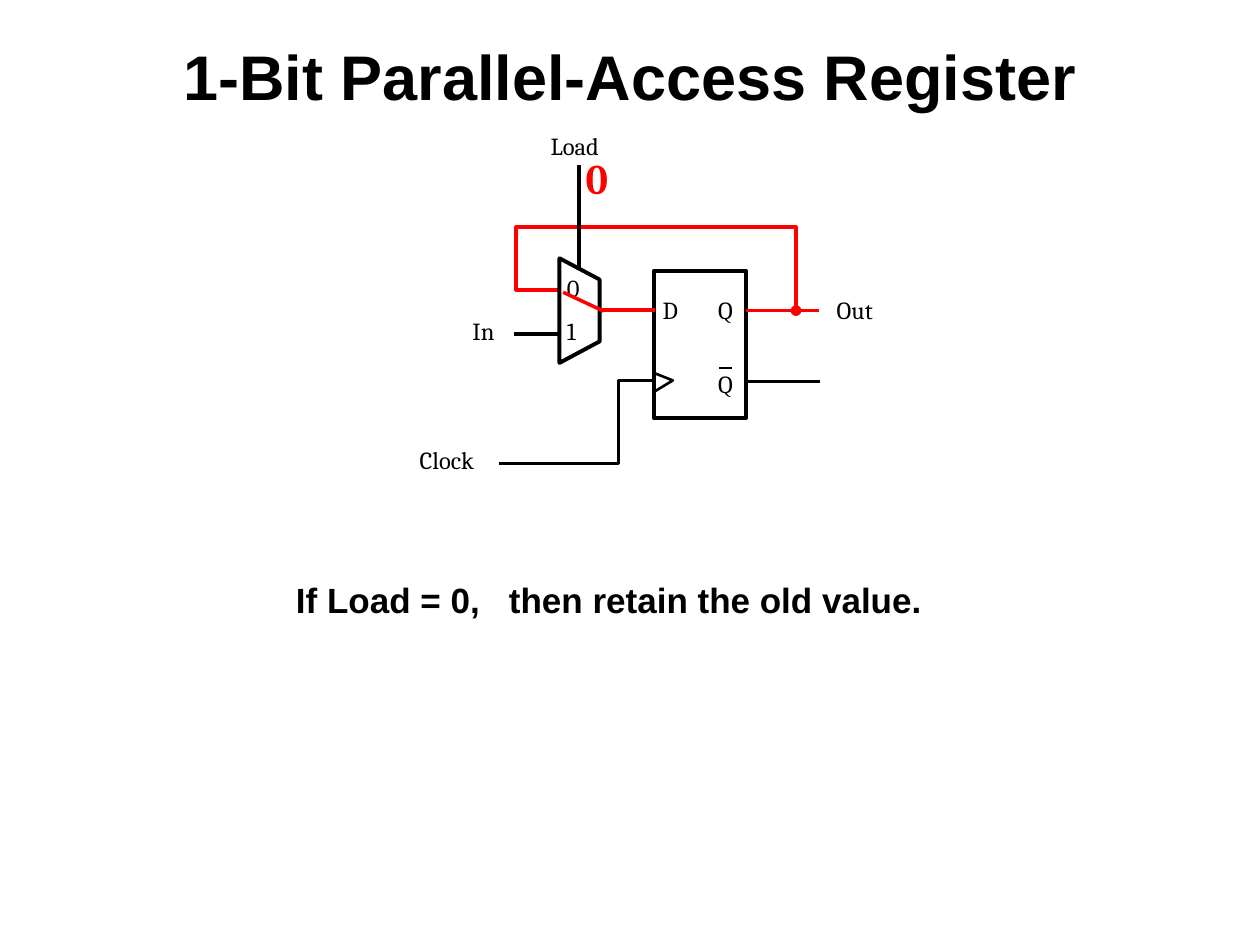
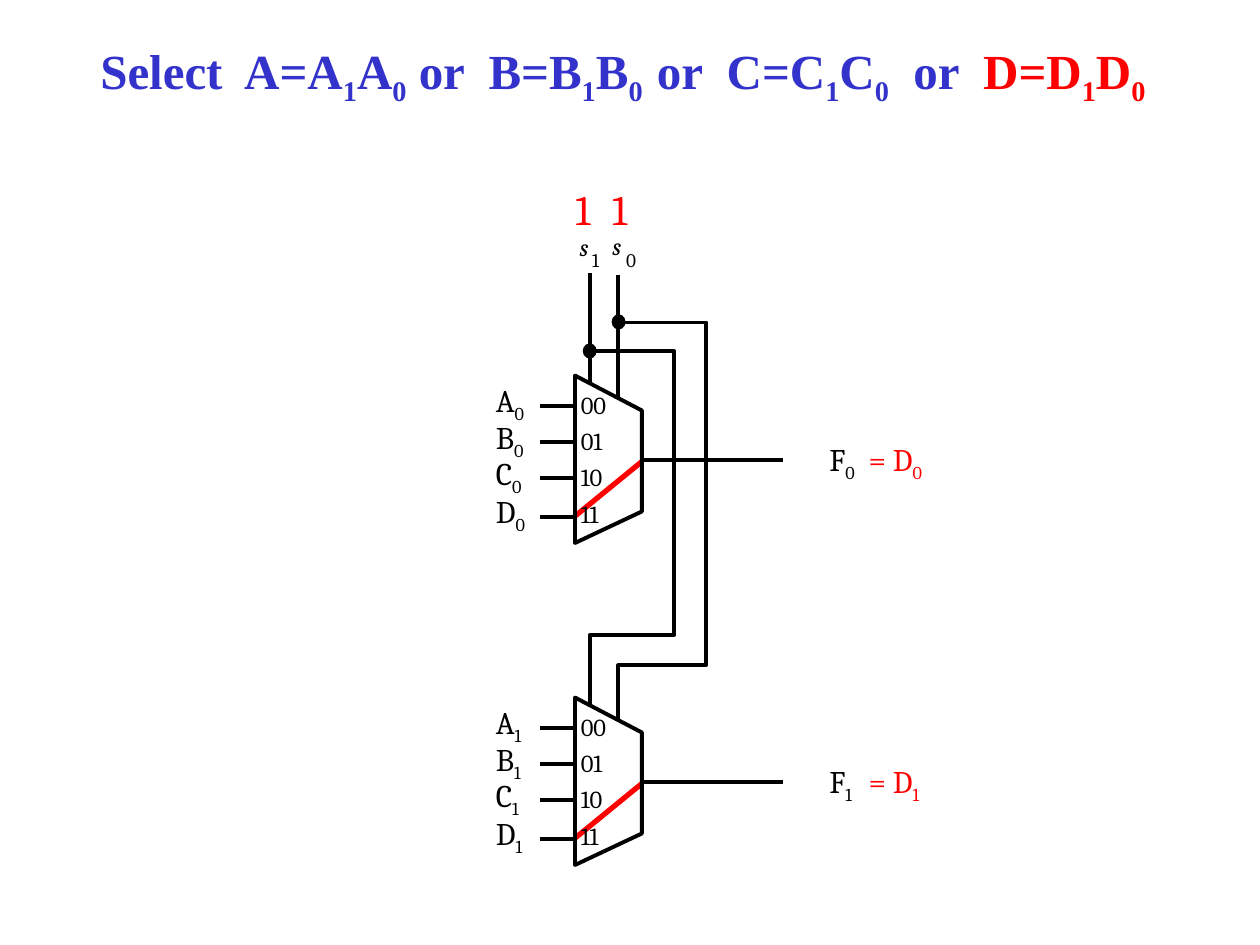
from pptx import Presentation
from pptx.dml.color import RGBColor
from pptx.enum.shapes import MSO_CONNECTOR, MSO_SHAPE
from pptx.enum.text import MSO_ANCHOR, MSO_AUTO_SIZE, PP_ALIGN
from pptx.oxml.ns import qn
from pptx.util import Pt
from lxml.etree import SubElement

COLORS = {name: RGBColor.from_string(value) for name, value in {
    "black": "000000", "white": "FFFFFF", "red": "FF0000", "blue": "3333CC"}.items()}


def add_text(slide, box, text, size, color="black", font="Cambria",
             bold=False, italic=False, inset=False, wrap=False):
    """Add text; in each line, every second piece between underscores is a subscript."""
    frame = slide.shapes.add_textbox(*map(Pt, box)).text_frame
    frame.word_wrap = wrap
    if not wrap:
        frame.auto_size = MSO_AUTO_SIZE.SHAPE_TO_FIT_TEXT
    if not inset:
        frame.margin_left = frame.margin_right = 0
        frame.margin_top = frame.margin_bottom = 0
    for number, line in enumerate(text.split("\n")):
        paragraph = frame.add_paragraph() if number else frame.paragraphs[0]
        for index, piece in enumerate(line.split("_")):
            if not piece:
                continue
            run = paragraph.add_run()
            run.text = piece
            run.font.size, run.font.name = Pt(size), font
            run.font.bold, run.font.italic = bold, italic
            run.font.color.rgb = COLORS[color]
            if index % 2:
                run.font._element.set("baseline", "-25000")
    return frame


def add_line(slide, color, width, *points, closed=False):
    """Join two points with a connector, or more points with a freeform."""
    points = [(Pt(x), Pt(y)) for x, y in points]
    if len(points) == 2:
        shape = slide.shapes.add_connector(MSO_CONNECTOR.STRAIGHT, *points[0], *points[1])
    else:
        builder = slide.shapes.build_freeform(*points[0])
        builder.add_line_segments(points[1:], close=closed)
        shape = builder.convert_to_shape()
        shape.fill.background()
    shape.line.color.rgb = COLORS[color]
    shape.line.width = Pt(width)
    if len(points) == 2:
        SubElement(shape.element.spPr, qn("a:effectLst"))
    else:
        shape.shadow.inherit = False


presentation = Presentation()
presentation.slide_width, presentation.slide_height = Pt(720), Pt(540)
blank_layout = presentation.slide_layouts[6]
register_slide = presentation.slides.add_slide(blank_layout)
selector_slide = presentation.slides.add_slide(blank_layout)

# Titles
title = add_text(register_slide, (0, 18, 720, 48), "1-Bit Parallel-Access Register",
                 36, font="Arial", bold=True, inset=True, wrap=True)
title.paragraphs[0].alignment = PP_ALIGN.CENTER
title = add_text(
    selector_slide, (18, 18, 684, 48),
    "Select  A=A_1_A_0_ or  B=B_1_B_0  _or  C=C_1_C_0_  or  __D=D_1_D_0  _",
    28, "blue", "Times New Roman", bold=True, inset=True, wrap=True)
title.vertical_anchor = MSO_ANCHOR.MIDDLE
title.paragraphs[0].alignment = PP_ALIGN.CENTER
for run in title.paragraphs[0].runs[-4:]:
    run.font.color.rgb = COLORS["red"]

# Register: flip-flop body and junction dots of both slides
for slide, kind, box, fill, line, width in (
        (register_slide, MSO_SHAPE.RECTANGLE, (373.7, 154.8, 52.6, 84.2), "white", "black", 2.25),
        (register_slide, MSO_SHAPE.OVAL, (452.6, 175.2, 4.6, 4.6), "red", "red", 1.5),
        (selector_slide, MSO_SHAPE.OVAL, (333.4, 196.6, 7.2, 7.9), "black", "black", 0.75),
        (selector_slide, MSO_SHAPE.OVAL, (349.9, 180, 7.2, 7.9), "black", "black", 0.75)):
    shape = slide.shapes.add_shape(kind, *map(Pt, box))
    shape.shadow.inherit = False
    shape.fill.solid()
    shape.fill.fore_color.rgb = COLORS[fill]
    shape.line.color.rgb = COLORS[line]
    shape.line.width = Pt(width)

# Register: red data path, with the feedback loop
output_y, tap_x, loop_top, loop_left = 177.5, 454.8, 129.6, 295
add_line(register_slide, "red", 2, (426.2, output_y), (468, output_y))
add_line(register_slide, "red", 2, (tap_x, output_y), (tap_x, loop_top),
         (loop_left, loop_top), (loop_left, 165.6), (320.4, 165.6))
add_line(register_slide, "red", 2, (342.7, 177.1), (374.4, 177.1))

# Register: multiplexer, clock input and black wires
add_line(register_slide, "black", 2.25, (342.7, 195.1), (342.7, 159.8),
         (319.7, 147.6), (319.7, 207.4), closed=True)
add_line(register_slide, "black", 1.5, (373.7, 223.9), (384.5, 217.4), (373.7, 213.1))
add_line(register_slide, "black", 2, (285.1, 265), (353.5, 265), (353.5, 217.6), (373.7, 217.6))
add_line(register_slide, "black", 2, (330.8, 94.3), (330.8, 154))
add_line(register_slide, "black", 2, (293.8, 190.8), (319.7, 190.8))
add_line(register_slide, "black", 2, (426.2, 218), (468.7, 218))
add_line(register_slide, "black", 1.5, (411.1, 210.2), (418.3, 210.2))

# Register: labels
for text, left, top, width, height in (
        ("D", 378.7, 168.5, 19.4, 18.7), ("Q", 410.4, 168.5, 19.4, 18.7),
        ("Q", 410.4, 211, 19.4, 18.7), ("Clock", 239.8, 254.2, 42.5, 18.7),
        ("In", 270, 180.7, 17.3, 18.7), ("Out", 478.1, 168.5, 20.9, 17.3),
        ("Load", 314.6, 74.9, 29.5, 17.3), ("0", 324, 156.2, 7.2, 17.3),
        ("1", 324, 180.7, 7.2, 17.3)):
    add_text(register_slide, (left, top, width, height), text, 14)
caption = add_text(register_slide, (162, 329.8, 480, 95.8),
                   "If Load = 0,   then retain the old value.",
                   20, font="Arial", bold=True, inset=True, wrap=True)
caption.paragraphs[0].line_spacing = 0.9

# Register: selected input
add_line(register_slide, "red", 2, (321.8, 167), (344.9, 177.8))
add_text(register_slide, (327.6, 83.5, 26.6, 36.7), "0", 24, "red", bold=True, inset=True)

# Selector: two equal multiplexers, one for each bit
for bit, shift in ((0, 0), (1, 184)):
    add_line(selector_slide, "red", 3, (328.3, 295.2 + shift), (367.2, 263.4 + shift))
    add_line(selector_slide, "black", 2.25, (366.8, 292.3 + shift), (366.8, 234.6 + shift),
             (328.6, 214.6 + shift), (328.6, 310.3 + shift), closed=True)
    add_line(selector_slide, "black", 2.25, (367.2, 262.7 + shift), (447.5, 262.7 + shift))
    for name, y in zip("ABCD", (231.8, 252.7, 273.2, 295.2)):
        add_line(selector_slide, "black", 2.25, (308.7, y + shift), (328.3, y + shift))
        add_text(selector_slide, (276.3, y - 17.5 + shift, 33, 28.8),
                 f"{name}_{bit}_", 18, inset=True)
    codes = add_text(selector_slide, (331.9, 222.6 + shift, 17.3, 79.9), "00\n01\n10\n11", 14)
    for paragraph in codes.paragraphs:
        paragraph.space_after = Pt(4)
    add_text(selector_slide, (466.9, 247.8 + shift, 31, 28.8), f"F_{bit}_", 18, inset=True)
    add_text(selector_slide, (489.3, 247.8 + shift, 48.2, 28.8), f"= D_{bit}_", 18, "red", inset=True)

# Selector: select lines, each branching down to the second multiplexer
for line_x, start_y, end_y, branch_y, branch_x, return_y, last_y in (
        (337, 156.2, 218.2, 200.7, 385.2, 362.9, 403.9),
        (353.4, 157, 227.5, 184.3, 403.5, 380.2, 411.8)):
    add_line(selector_slide, "black", 2.25, (line_x, start_y), (line_x, end_y))
    add_line(selector_slide, "black", 2.25, (line_x, branch_y), (branch_x, branch_y),
             (branch_x, return_y), (line_x, return_y), (line_x, last_y))

# Selector: select names and their values
for index, name_left, name_top, index_left, value_left in (
        ("1", 331.2, 132.5, 338.4, 321.8), ("0", 349.9, 131.8, 357.8, 342.7)):
    add_text(selector_slide, (name_left, name_top, 9.4, 17.3), "s", 14, italic=True)
    add_text(selector_slide, (index_left, 141.8, 8.6, 13.7), index, 11)
    add_text(selector_slide, (value_left, 101.5, 26.6, 36.7), "1", 24, "red", inset=True)

presentation.save("out.pptx")
